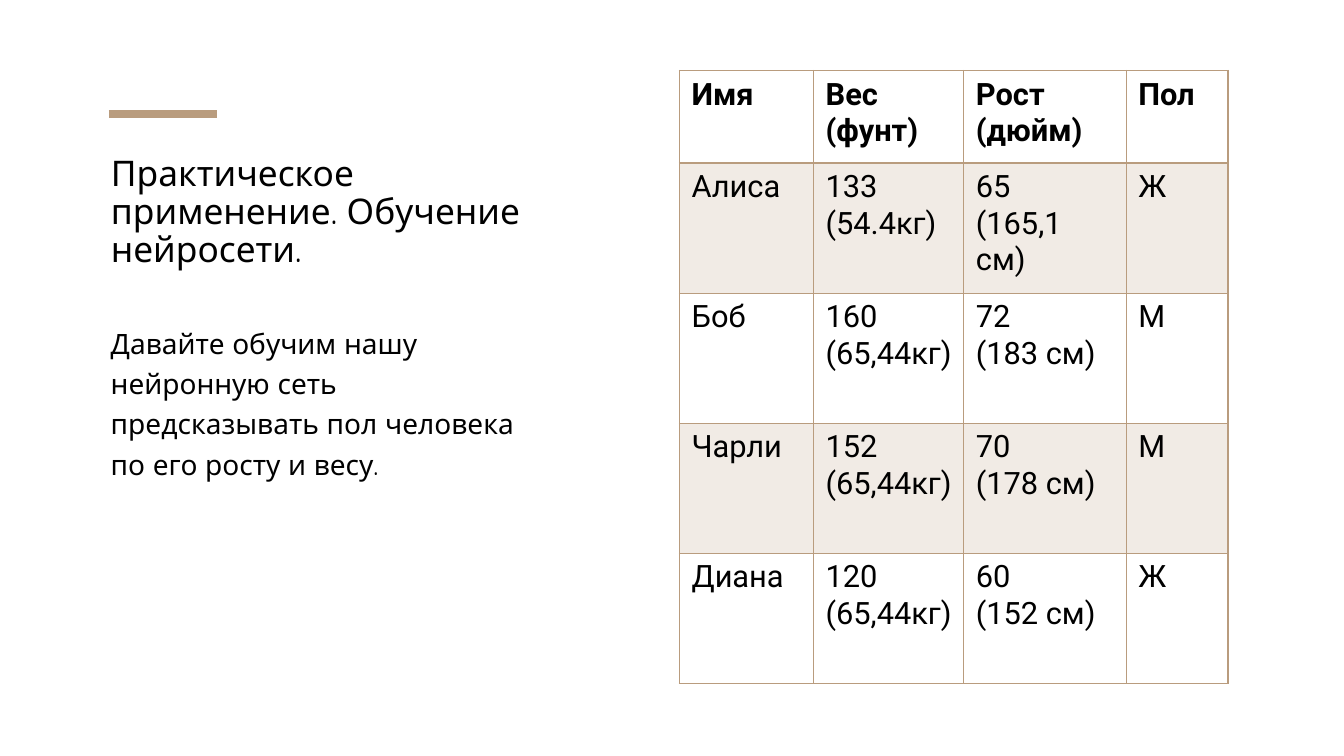
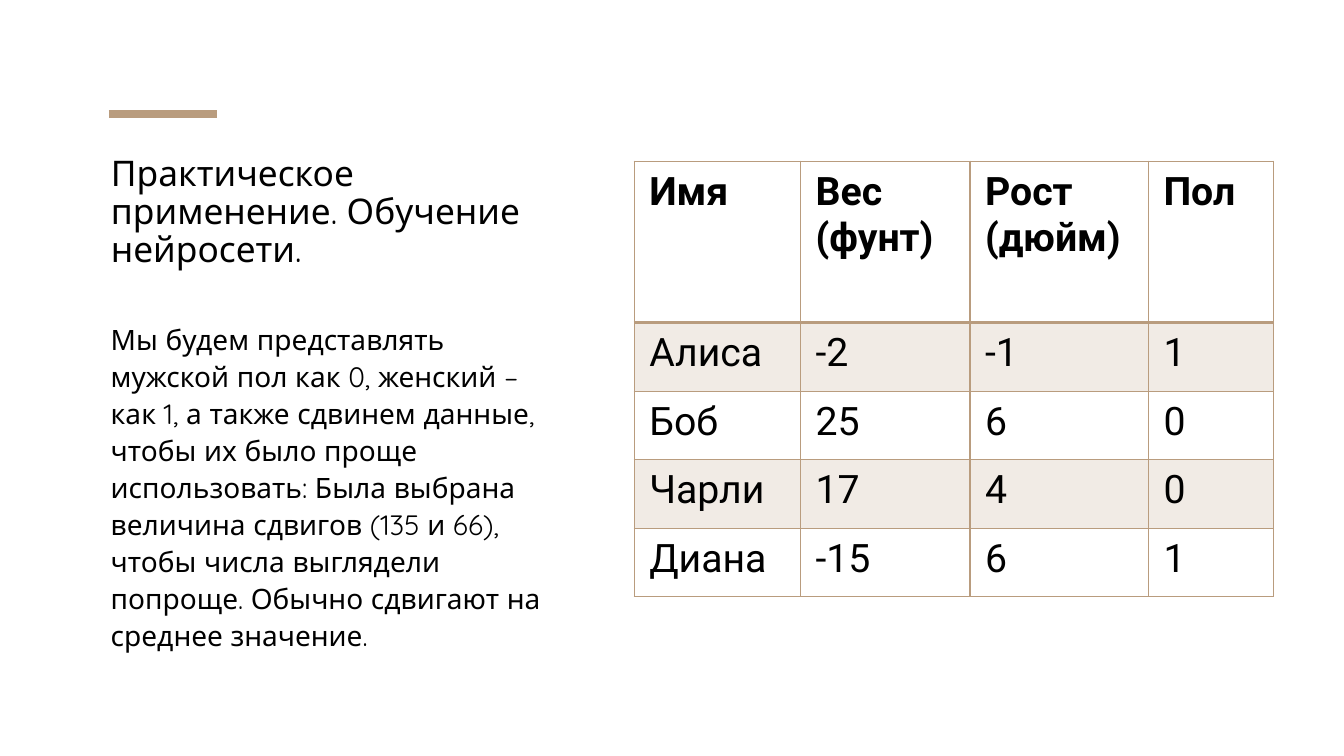
from lxml.etree import SubElement
from pptx import Presentation
from pptx.dml.color import RGBColor
from pptx.enum.shapes import MSO_CONNECTOR
from pptx.enum.text import MSO_ANCHOR, MSO_AUTO_SIZE, PP_ALIGN
from pptx.oxml.ns import qn
from pptx.util import Inches, Pt

BLACK = RGBColor(0x00, 0x00, 0x00)
TAN = RGBColor(0xB9, 0x9C, 0x7E)
PALE_TAN = RGBColor(0xF1, 0xEB, 0xE5)
TEXT_FONT = "Quicksand"
TABLE_FONT = "Roboto"
TITLE = "Практическое применение. Обучение нейросети."
HEADER = ["Имя", "Вес (фунт)", "Рост\n(дюйм)", "Пол"]
TITLE_ONLY = 5


def add_span(para, text, size, font, bold=False):
    span = para.add_run()
    span.text = text
    span.font.size = Pt(size)
    span.font.name = font
    span.font.bold = bold
    span.font.color.rgb = BLACK


def fill_frame(box, text, size, line_spacing, space_before=0):
    frame = box.text_frame
    frame.word_wrap = True
    frame.auto_size = MSO_AUTO_SIZE.NONE
    frame.vertical_anchor = MSO_ANCHOR.TOP
    para = frame.paragraphs[0]
    para.alignment = PP_ALIGN.LEFT
    para.line_spacing = line_spacing
    para.space_before = Pt(space_before)
    add_span(para, text, size, TEXT_FONT)


def add_accent_bar(page):
    bar = page.shapes.add_connector(
        MSO_CONNECTOR.STRAIGHT, Inches(1.08), Inches(1.13), Inches(2.15), Inches(1.13))
    bar.line.color.rgb = TAN
    bar.line.width = Pt(6)
    SubElement(bar._element.spPr, qn("a:effectLst"))


def add_page(deck, body, body_spacing):
    page = deck.slides.add_slide(deck.slide_layouts[TITLE_ONLY])
    title = page.shapes.title
    title.left, title.top = Inches(1), Inches(1.5)
    title.width, title.height = Inches(4.46), Inches(1.44)
    fill_frame(title, TITLE, 25.2, 0.9)
    add_accent_bar(page)
    box = page.shapes.add_textbox(Inches(1), Inches(3.12), Inches(4.46), Inches(3.38))
    fill_frame(box, body, 20, body_spacing, 10)
    return page


def set_borders(cell, top, bottom):
    properties = cell._tc.get_or_add_tcPr()
    for side, width in (("L", 1), ("R", 1), ("T", top), ("B", bottom)):
        line = SubElement(properties, qn(f"a:ln{side}"), w=str(Pt(width)))
        fill = SubElement(line, qn("a:solidFill"))
        SubElement(fill, qn("a:srgbClr"), val=str(TAN))


def format_cell(cell, text, row, size, margins):
    side, edge = margins
    cell.margin_left = cell.margin_right = Inches(side)
    cell.margin_top = cell.margin_bottom = Inches(edge)
    set_borders(cell, top=2 if row == 1 else 1, bottom=2 if row == 0 else 1)
    if row % 2:
        cell.fill.solid()
        cell.fill.fore_color.rgb = PALE_TAN
    else:
        cell.fill.background()
    frame = cell.text_frame
    for index, line in enumerate(text.split("\n")):
        para = frame.add_paragraph() if index else frame.paragraphs[0]
        add_span(para, line, size, TABLE_FONT, bold=row == 0)


def add_data_table(page, left, top, widths, heights, size, margins, people):
    rows = [HEADER, *people]
    table = page.shapes.add_table(
        len(rows), len(HEADER), Inches(left), Inches(top),
        Inches(sum(widths)), Inches(sum(heights))).table
    table.first_row = table.horz_banding = False
    for column, width in zip(table.columns, widths):
        column.width = Inches(width)
    for row, height in zip(table.rows, heights):
        row.height = Inches(height)
    for r, values in enumerate(rows):
        for c, text in enumerate(values):
            format_cell(table.cell(r, c), text, r, size, margins)


def main():
    deck = Presentation()
    deck.slide_width, deck.slide_height = Inches(13.33), Inches(7.5)

    page = add_page(
        deck,
        "Давайте обучим нашу нейронную сеть предсказывать пол человека "
        "по его росту и весу.",
        1.2)
    add_data_table(
        page, 6.74, 0.7, [1.33, 1.49, 1.61, 1.01], [0.92] + [1.29] * 4, 22, (0.12, 0.06),
        [
            ["Алиса", "133 (54.4кг)", "65\n(165,1 см)", "Ж"],
            ["Боб", "160\n(65,44кг)", "72\n(183 см)", "М"],
            ["Чарли", "152\n(65,44кг)", "70\n(178 см)", "М"],
            ["Диана", "120\n(65,44кг)", "60\n(152 см)", "Ж"],
        ])

    page = add_page(
        deck,
        "Мы будем представлять мужской пол как 0, женский – как 1, а также "
        "сдвинем данные, чтобы их было проще использовать: Была выбрана "
        "величина сдвигов (135 и 66), чтобы числа выглядели попроще. "
        "Обычно сдвигают на среднее значение.",
        1.1)
    add_data_table(
        page, 6.29, 1.6, [1.65, 1.68, 1.77, 1.24], [1.6] + [0.68] * 4, 28, (0.15, 0.08),
        [
            ["Алиса", "-2", "-1", "1"],
            ["Боб", "25", "6", "0"],
            ["Чарли", "17", "4", "0"],
            ["Диана", "-15", "6", "1"],
        ])

    deck.save("out.pptx")


if __name__ == "__main__":
    main()
